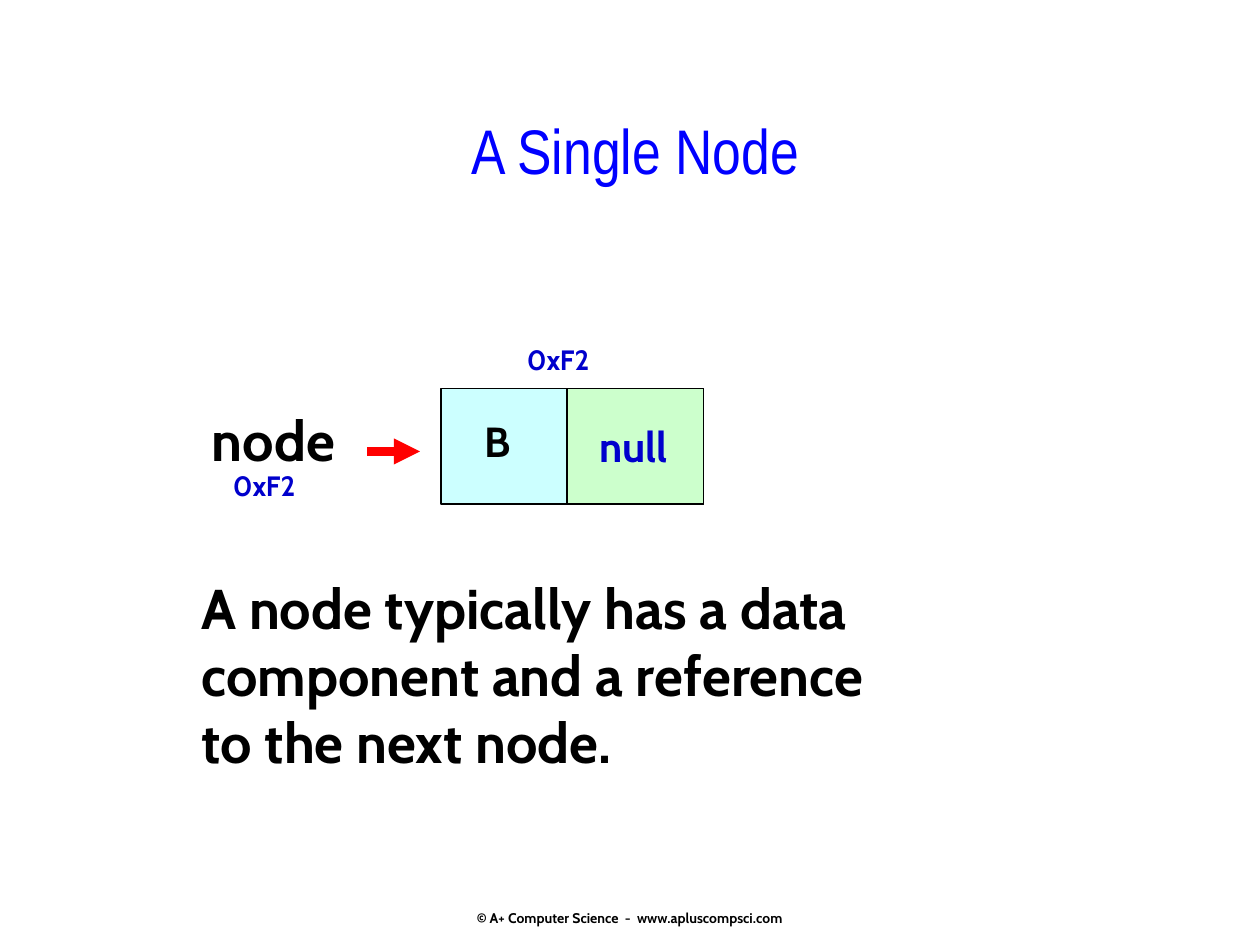
from lxml import etree
from pptx import Presentation
from pptx.dml.color import RGBColor
from pptx.enum.shapes import MSO_CONNECTOR, MSO_SHAPE
from pptx.enum.text import MSO_ANCHOR, PP_ALIGN
from pptx.oxml.ns import qn
from pptx.util import Pt

LEFT, CENTER = PP_ALIGN.LEFT, PP_ALIGN.CENTER
TOP, BOTTOM = MSO_ANCHOR.TOP, MSO_ANCHOR.BOTTOM
STRAIGHT, RECTANGLE = MSO_CONNECTOR.STRAIGHT, MSO_SHAPE.RECTANGLE

COLORS = {
    "black": "000000",
    "title": "0000FF",
    "address": "0000CC",
    "arrow": "FF0000",
    "data": "CCFFFF",
    "reference": "CCFFCC",
}

TITLE = ["A Single Node"]
DESCRIPTION = [
    "A node typically has a data",
    "component and a reference",
    "to the next node.",
]
FOOTER = ["© A+ Computer Science  -  www.apluscompsci.com"]

# Node cells: left, top, width, height, fill; the reference covers the right part
CELLS = [
    (252, 222, 150, 66, "data"),
    (324, 222, 78, 66, "reference"),
]
ARROW = (210, 258, 240, 258)

# Diagram labels: text, left, top, width, height, size, color
LABELS = [
    ("B", 270, 234, 66, 36, 24, "black"),
    ("null", 335.5, 237, 78, 36, 24, "address"),
    ("node", 114, 228, 102, 45, 32, "black"),
    ("0xF2", 126, 264, 78, 26.5, 16, "address"),
    ("0xF2", 294, 192, 78, 26.5, 16, "address"),
]


def color(name):
    return RGBColor.from_string(COLORS[name])


def add_text(slide, lines, box, size, color_name, font="Cabin", bold=True,
             align=LEFT, anchor=TOP):
    shape = slide.shapes.add_textbox(*map(Pt, box))
    frame = shape.text_frame
    frame.word_wrap = True
    frame.vertical_anchor = anchor
    for index, line in enumerate(lines):
        paragraph = frame.add_paragraph() if index else frame.paragraphs[0]
        paragraph.alignment = align
        run = paragraph.add_run()
        run.text = line
        run.font.name = font
        run.font.size = Pt(size)
        run.font.bold = bold
        run.font.color.rgb = color(color_name)
    return shape


def add_cell(slide, left, top, width, height, fill):
    shape = slide.shapes.add_shape(
        RECTANGLE, Pt(left), Pt(top), Pt(width), Pt(height))
    shape.shadow.inherit = False
    shape.fill.solid()
    shape.fill.fore_color.rgb = color(fill)
    shape.line.color.rgb = color("black")
    shape.line.width = Pt(1)


def add_arrow(slide, points):
    arrow = slide.shapes.add_connector(STRAIGHT, *map(Pt, points))
    arrow.line.color.rgb = color("arrow")
    arrow.line.width = Pt(5)
    properties = arrow._element.spPr
    line = properties.find(qn("a:ln"))
    etree.SubElement(line, qn("a:tailEnd"), type="triangle")
    etree.SubElement(properties, qn("a:effectLst"))


def main():
    presentation = Presentation()
    presentation.slide_width, presentation.slide_height = Pt(720), Pt(540)
    slide = presentation.slides.add_slide(presentation.slide_layouts[6])

    # Footer
    footer = add_text(slide, FOOTER, (246, 493.5, 228, 36), 8, "black",
                      align=CENTER, anchor=BOTTOM)
    footer.text_frame.margin_bottom = 0

    # Node diagram
    add_arrow(slide, ARROW)
    for cell in CELLS:
        add_cell(slide, *cell)
    for text, left, top, width, height, size, color_name in LABELS:
        add_text(slide, [text], (left, top, width, height), size, color_name)

    # Title and description
    add_text(slide, TITLE, (66, 60, 594, 84), 36, "title",
             font="Arial Narrow", bold=False, align=CENTER)
    add_text(slide, DESCRIPTION, (108, 324, 455, 122.5), 32, "black")

    presentation.save("out.pptx")


if __name__ == "__main__":
    main()
